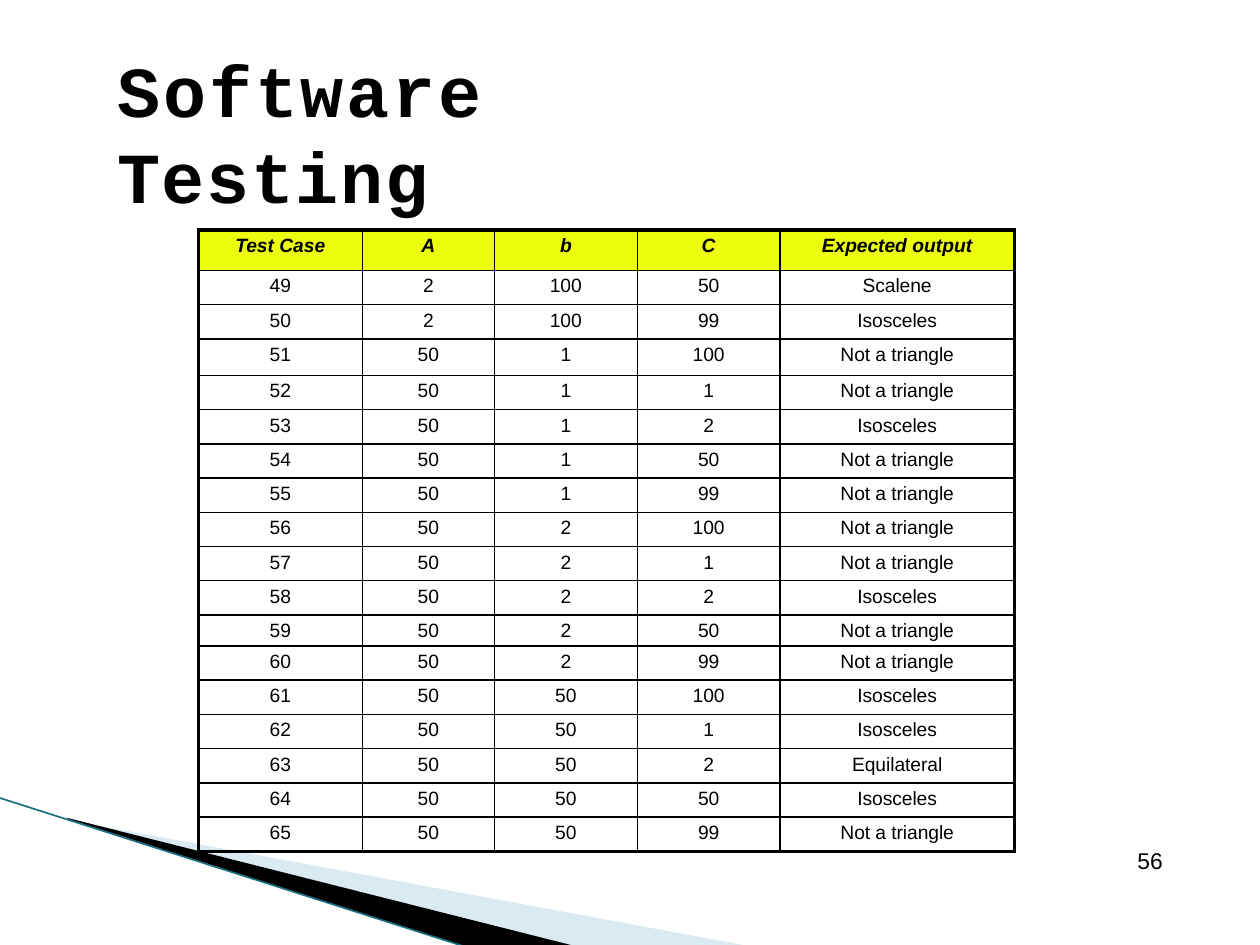
from pptx import Presentation
from pptx.dml.color import RGBColor
from pptx.enum.shapes import MSO_CONNECTOR
from pptx.enum.text import MSO_ANCHOR, MSO_AUTO_SIZE, PP_ALIGN
from pptx.oxml.ns import qn
from pptx.util import Pt
from lxml import etree

STRAIGHT = MSO_CONNECTOR.STRAIGHT
CENTER, LEFT = PP_ALIGN.CENTER, PP_ALIGN.LEFT
TOP, MIDDLE = MSO_ANCHOR.TOP, MSO_ANCHOR.MIDDLE
GROW = MSO_AUTO_SIZE.SHAPE_TO_FIT_TEXT

THEME = {
    "ink": "000000", "header": "ECFD0E", "sweep": "A0CBDC", "edge": "1B6E82",
    "title_font": "Courier New", "body_font": "Arial",
    "title": 41, "cell": 11, "number": 13,
    "inner": 1, "outer": 2.25, "edge_width": 0.95,
}

TITLE = [("Software ", 1.7), ("Testing", 0.95)]
PAGE_NUMBER = "56"
HEADER = [
    [("Test ", -0.05), ("Case", 0)], [("A", 0)], [("b", 0)], [("C", 0)],
    [("Expected", -0.05), (" output", 0)],
]
FIRST_CASE = 49
CASES = [
    (2, 100, 50, "Scalene"),
    (2, 100, 99, "Isosceles"),
    (50, 1, 100, "Not a triangle"),
    (50, 1, 1, "Not a triangle"),
    (50, 1, 2, "Isosceles"),
    (50, 1, 50, "Not a triangle"),
    (50, 1, 99, "Not a triangle"),
    (50, 2, 100, "Not a triangle"),
    (50, 2, 1, "Not a triangle"),
    (50, 2, 2, "Isosceles"),
    (50, 2, 50, "Not a triangle"),
    (50, 2, 99, "Not a triangle"),
    (50, 50, 100, "Isosceles"),
    (50, 50, 1, "Isosceles"),
    (50, 50, 2, "Equilateral"),
    (50, 50, 50, "Isosceles"),
    (50, 50, 99, "Not a triangle"),
]
COLUMN_WIDTHS = [93.6, 75.6, 81.6, 81.6, 133.9]
ROW_HEIGHT = 19.58
SPECIAL_HEIGHTS = {0: 23.1, 3: 20.9, 11: 17.7}
SWEEPS = [
    ((56.2, 393.8, 299.5, 113.8),
     [(39.6, 468.7), (428.4, 540.7), (328.3, 540.7), (39.6, 468)], "sweep", 40),
    ((-4.3, 455.8, 299.5, 66.2),
     [(38.2, 467.3), (329, 540.7), (267.8, 541.4), (38.9, 468)], "ink", 100),
]
EDGE = (-0.7, 455.8, 267.1, 541.4)


def color(name):
    return RGBColor.from_string(THEME[name])


def add_run(paragraph, text, size, font, spacing=0, bold=False, italic=False):
    run = paragraph.add_run()
    run.text = text
    run.font.size, run.font.name = Pt(THEME[size]), THEME[font]
    run.font.bold, run.font.italic = bold, italic
    run.font.color.rgb = color("ink")
    run.font._element.set("spc", str(round(spacing * 100)))


def set_margins(part, top=0):
    part.margin_left = part.margin_right = part.margin_bottom = 0
    part.margin_top = Pt(top)


def set_border(cell, side, width):
    line = etree.SubElement(cell._tc.get_or_add_tcPr(), qn(f"a:ln{side}"), w=str(Pt(width)))
    fill = etree.SubElement(line, qn("a:solidFill"))
    etree.SubElement(fill, qn("a:srgbClr"), val=THEME["ink"])


def set_frame(sweep, frame):
    left, top, width, height = [Pt(v) for v in frame]
    shift = {"x": sweep.left - left, "y": sweep.top - top}
    outline = sweep._element.spPr.find(f".//{qn('a:path')}")
    outline.set("w", str(width))
    outline.set("h", str(height))
    for corner in outline.iter(qn("a:pt")):
        for axis, offset in shift.items():
            corner.set(axis, str(int(corner.get(axis)) + offset))
    sweep.left, sweep.top, sweep.width, sweep.height = left, top, width, height


def add_sweep(slide, frame, points, fill, opacity):
    corners = [(Pt(x), Pt(y)) for x, y in points]
    builder = slide.shapes.build_freeform(*corners[0], scale=1.0)
    builder.add_line_segments(corners[1:], close=True)
    sweep = builder.convert_to_shape()
    set_frame(sweep, frame)
    sweep.shadow.inherit = False
    sweep.fill.solid()
    sweep.fill.fore_color.rgb = color(fill)
    sweep.line.fill.background()
    if opacity < 100:
        tint = sweep._element.spPr.find(f".//{qn('a:srgbClr')}")
        etree.SubElement(tint, qn("a:alpha"), val=str(opacity * 1000))


def add_edge(slide):
    edge = slide.shapes.add_connector(STRAIGHT, *[Pt(v) for v in EDGE])
    edge.line.color.rgb = color("edge")
    edge.line.width = Pt(THEME["edge_width"])
    etree.SubElement(edge._element.spPr, qn("a:effectLst"))


def fill_title(title):
    title.left, title.top, title.width, title.height = Pt(66.2), Pt(49.7), Pt(404.6), Pt(50.4)
    frame = title.text_frame
    frame.word_wrap, frame.auto_size, frame.vertical_anchor = True, GROW, MIDDLE
    set_margins(frame, 0.7)
    paragraph = frame.paragraphs[0]
    paragraph.alignment = LEFT
    paragraph._p.get_or_add_pPr().set("marL", str(Pt(0.7)))
    for text, spacing in TITLE:
        add_run(paragraph, text, "title", "title_font", spacing, bold=True)


def add_cases(slide):
    body = [
        [[(str(v), -0.05 if len(str(v)) > 1 else 0)] for v in (number, *case)]
        for number, case in enumerate(CASES, FIRST_CASE)
    ]
    rows = [HEADER] + body
    heights = [SPECIAL_HEIGHTS.get(r, ROW_HEIGHT) for r in range(len(rows))]
    table = slide.shapes.add_table(
        len(rows), len(HEADER), Pt(113.4), Pt(131.4),
        Pt(sum(COLUMN_WIDTHS)), Pt(sum(heights))).table
    table.first_row = table.horz_banding = False
    for column, width in zip(table.columns, COLUMN_WIDTHS):
        column.width = Pt(width)
    last_row, last_column = len(rows) - 1, len(HEADER) - 1
    for r, row in enumerate(rows):
        table.rows[r].height = Pt(heights[r])
        for c, runs in enumerate(row):
            cell = table.cell(r, c)
            set_margins(cell)
            cell.vertical_anchor = TOP
            outside = {"L": c == 0, "R": c == last_column, "T": r == 0, "B": r == last_row}
            for side, is_outer in outside.items():
                set_border(cell, side, THEME["outer" if is_outer else "inner"])
            if r == 0:
                cell.fill.solid()
                cell.fill.fore_color.rgb = color("header")
            else:
                cell.fill.background()
            paragraph = cell.text_frame.paragraphs[0]
            paragraph.alignment, paragraph.line_spacing = CENTER, Pt(15.2)
            for text, spacing in runs:
                add_run(paragraph, text, "cell", "body_font", spacing, r == 0, r == 0)


def add_page_number(slide):
    frame = slide.shapes.add_textbox(Pt(647), Pt(486.4), Pt(19.4), Pt(13)).text_frame
    frame.word_wrap, frame.auto_size = True, GROW
    set_margins(frame)
    paragraph = frame.paragraphs[0]
    paragraph.line_spacing = Pt(13.2)
    paragraph._p.get_or_add_pPr().set("marL", str(Pt(3)))
    add_run(paragraph, PAGE_NUMBER, "number", "body_font")


def main():
    deck = Presentation()
    deck.slide_width, deck.slide_height = Pt(720), Pt(540)
    slide = deck.slides.add_slide(deck.slide_layouts[5])
    for sweep in SWEEPS:
        add_sweep(slide, *sweep)
    add_edge(slide)
    fill_title(slide.shapes.title)
    add_cases(slide)
    add_page_number(slide)
    deck.save("out.pptx")


if __name__ == "__main__":
    main()
